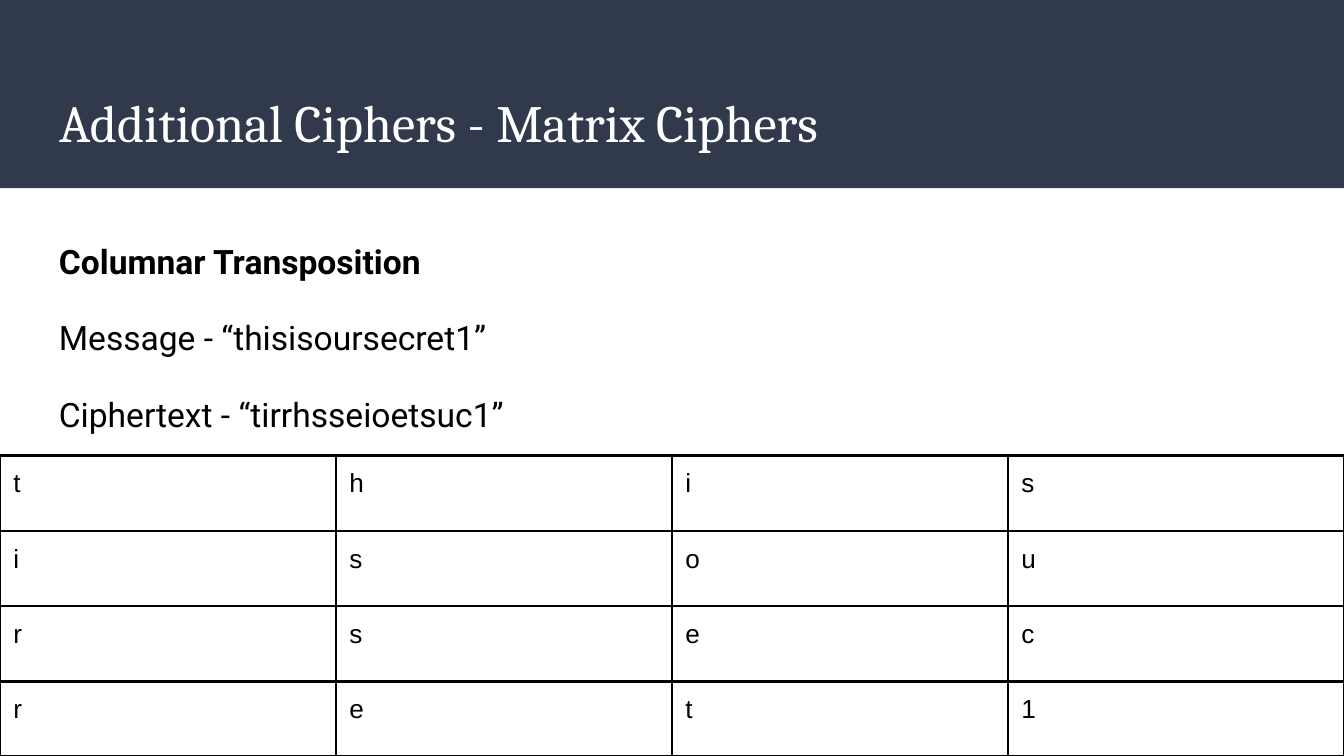
from pptx import Presentation
from pptx.dml.color import RGBColor
from pptx.enum.shapes import MSO_SHAPE
from pptx.enum.text import MSO_ANCHOR, PP_ALIGN
from pptx.util import Inches, Pt
from lxml import etree

RECT = MSO_SHAPE.RECTANGLE
TOP = MSO_ANCHOR.TOP
LEFT = PP_ALIGN.LEFT
NS = "http://schemas.openxmlformats.org/drawingml/2006/main"
COLORS = {"band": "31394D", "white": "FFFFFF", "black": "000000"}


def style(par, face, size, color, bold=False):
    par.alignment = LEFT
    for run in par.runs:
        run.font.name = face
        run.font.size = Pt(size)
        run.font.bold = bold
        run.font.color.rgb = RGBColor.from_string(COLORS[color])


def inset(frame):
    frame.vertical_anchor = TOP
    frame.margin_left = frame.margin_right = Inches(0.1)
    frame.margin_top = frame.margin_bottom = Inches(0.1)


# Widescreen page, 16:9
prs = Presentation()
prs.slide_width = Inches(10)
prs.slide_height = Inches(10) * 9 // 16
slide = prs.slides.add_slide(prs.slide_layouts[5])

# Title
title = slide.shapes.title
title.left, title.top = Inches(0.34), Inches(0.57)
title.width, title.height = Inches(9.32), Inches(0.68)
frame = title.text_frame
frame.text = "Additional Ciphers - Matrix Ciphers"
inset(frame)
style(frame.paragraphs[0], "Cambria", 28, "white")

# Header band, placed behind the title
band = slide.shapes.add_shape(RECT, 0, 0, Inches(10), Inches(1.4))
band.shadow.inherit = False
band.fill.solid()
band.fill.fore_color.rgb = RGBColor.from_string(COLORS["band"])
band.line.fill.background()
title._element.addprevious(band._element)

# Message and ciphertext
body = slide.shapes.add_textbox(Inches(0.34), Inches(1.65), Inches(4.37), Inches(3.36))
frame = body.text_frame
frame.word_wrap = True
inset(frame)
frame.text = "\n".join([
    "Columnar Transposition",
    "Message - “thisisoursecret1”",
    "Ciphertext - “tirrhsseioetsuc1”",
])
for i, par in enumerate(frame.paragraphs):
    par.line_spacing = 1.15
    par.space_before = Pt(16 if i else 0)
    style(par, "Roboto", 18, "black", bold=i == 0)

# Cipher matrix: the message written row by row
message, size = "thisisoursecret1", 4
grid = slide.shapes.add_table(size, size, 0, Inches(3.39), Inches(10), Inches(2.24)).table
grid.first_row = grid.horz_banding = False
for row in grid.rows:
    row.height = Inches(0.56)
for i, letter in enumerate(message):
    cell = grid.cell(*divmod(i, size))
    cell.text_frame.text = letter
    inset(cell)
    style(cell.text_frame.paragraphs[0], "Arial", 14, "black")
    props = cell._tc.get_or_add_tcPr()
    for side in ("lnL", "lnR", "lnT", "lnB"):
        line = etree.SubElement(props, f"{{{NS}}}{side}", w=str(Pt(1.5)))
        fill = etree.SubElement(line, f"{{{NS}}}solidFill")
        etree.SubElement(fill, f"{{{NS}}}srgbClr", val=COLORS["black"])
    cell.fill.background()

prs.save("out.pptx")
